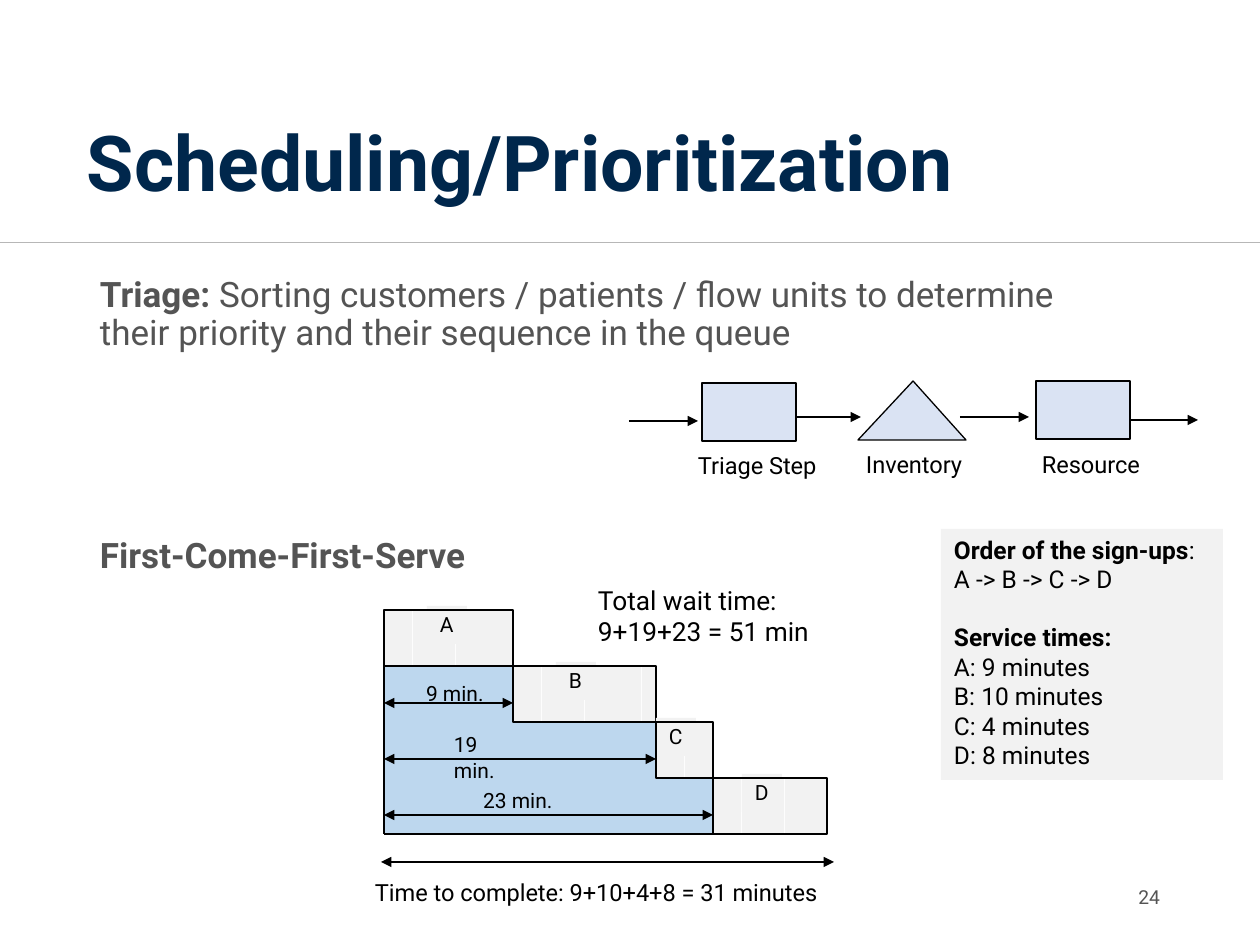
"""Build the slide on triage and first-come-first-serve scheduling."""
from lxml import etree
from pptx import Presentation
from pptx.dml.color import RGBColor
from pptx.enum.shapes import MSO_CONNECTOR, MSO_SHAPE
from pptx.enum.text import MSO_ANCHOR, PP_ALIGN
from pptx.oxml.ns import qn
from pptx.util import Pt

RECT = MSO_SHAPE.RECTANGLE
PEAK = MSO_SHAPE.ISOSCELES_TRIANGLE
LINE = MSO_CONNECTOR.STRAIGHT
TOP, MID, LOW = MSO_ANCHOR.TOP, MSO_ANCHOR.MIDDLE, MSO_ANCHOR.BOTTOM
LEFT, RIGHT = PP_ALIGN.LEFT, PP_ALIGN.RIGHT
PX = 914400 / 126
HUES = {"navy": "00274C", "gray": "545454", "black": "000000", "rule": "B7B7B7",
        "pale": "DAE3F3", "light": "F2F2F2", "blue": "BDD7EE"}

deck = Presentation()
deck.slide_width, deck.slide_height = round(1260 * PX), round(945 * PX)
slide = deck.slides.add_slide(deck.slide_layouts[6])


def put(text, x, y, w, h, home=slide, kind=None, fill=None, edge=False, size=13.5,
        hue="black", align=LEFT, anchor=TOP, wrap=True, pad=(13, 6, 13, 6),
        lead=None, gaps=()):
    """Place a text box or shape; *stars* mark bold words."""
    spot = [round(n * PX) for n in (x, y, w, h)]
    if kind is None:
        box = home.shapes.add_textbox(*spot)
    else:
        box = home.shapes.add_shape(kind, *spot)
        box.shadow.inherit = False
        if fill:
            box.fill.solid()
            box.fill.fore_color.rgb = RGBColor.from_string(HUES[fill])
        else:
            box.fill.background()
        if edge:
            box.line.color.rgb = RGBColor.from_string(HUES["black"])
            box.line.width = Pt(0.75)
        else:
            box.line.fill.background()
    if not text:
        return box
    frame = box.text_frame
    frame.word_wrap, frame.vertical_anchor = wrap, anchor
    (frame.margin_left, frame.margin_top, frame.margin_right,
     frame.margin_bottom) = [round(n * PX) for n in pad]
    for i, words in enumerate(text):
        para = frame.add_paragraph() if i else frame.paragraphs[0]
        para.alignment = align
        if lead:
            para.line_spacing = lead
        if i in gaps:
            para.space_before = Pt(gaps[i])
        for j, part in enumerate(words.split("*")):
            for k, piece in enumerate(part.split("\n")):
                if k:
                    para.add_line_break()
                if piece:
                    run = para.add_run()
                    run.text = piece
                    font = run.font
                    font.name, font.size, font.bold = "Roboto", Pt(size), j % 2 == 1
                    font.color.rgb = RGBColor.from_string(HUES[hue])
    return box


def draw(x, y, far, low, hue="black", width=0.75, ends=()):
    """Draw a straight line with arrowheads at the named ends."""
    line = slide.shapes.add_connector(LINE, *[round(n * PX) for n in (x, y, far, low)])
    line.line.color.rgb = RGBColor.from_string(HUES[hue])
    line.line.width = Pt(width)
    pen = line.line._get_or_add_ln()
    for end in ends:
        etree.SubElement(pen, qn(f"a:{end}"), type="triangle")
    etree.SubElement(line._element.spPr, qn("a:effectLst"))


draw(0, 242, 1260, 242, "rule", 0.5)
put(["*Scheduling/Prioritization*"], 87, 50, 1086, 183, size=44, hue="navy",
    anchor=LOW, pad=(0, 6, 13, 25), lead=0.9)
put(["*Triage:* Sorting customers / patients / flow units to determine \n"
     "their priority and their sequence in the queue", "*First-Come-First-Serve*"],
    87, 252, 1086, 338, size=20, hue="gray", pad=(13, 25, 13, 6), lead=0.9,
    gaps={1: 106})
put(["24"], 1067, 872, 106, 50, size=11, hue="gray", align=RIGHT, anchor=MID)

for x, y in (629, 421), (792, 417), (960, 417), (1129, 420):
    draw(x, y, x + 69, y, ends=["tailEnd"])
put(None, 702, 383, 94, 58, kind=RECT, fill="pale", edge=True)
peak = put(None, 858, 381, 108, 59, kind=PEAK, fill="pale", edge=True)
peak.adjustments[0] = 0.51
put(None, 1036, 381, 94, 58, kind=RECT, fill="pale", edge=True)
put(["Triage Step"], 685, 445, 152, 42)
put(["Inventory"], 853, 444, 125, 42, wrap=False)
put(["Resource"], 1029, 444, 126, 42, wrap=False)

put(["*Order of the sign-ups*:", "A -> B -> C -> D", "*Service times:*",
     "A: 9 minutes", "B: 10 minutes", "C: 4 minutes", "D: 8 minutes"],
    941, 529, 282, 251, kind=RECT, fill="light", size=14, gaps={2: 16.4})
put(["Total wait time: 9+19+23 = 51 min"], 585, 578, 249, 77, size=15)

unit, left, step, base = 14.3, 384, 56, 834
start, y = left, 610
for name, mins, shift in ("A", 9, 3), ("B", 10, 3), ("C", 4, 0), ("D", 8, 2):
    wide = round(mins * unit)
    if y + step < base:
        put(None, start, y + step, wide, base - y - step, kind=RECT, fill="blue")
    group = slide.shapes.add_group_shape()
    for i in range(mins):
        put(None, start + round(i * unit), y, 14, step, home=group, kind=RECT,
            fill="light")
    put([name], start + round(shift * unit), y - 4, 40, 38, home=group, kind=RECT,
        fill="light", size=12, wrap=False)
    put(None, start, y, wide, step, kind=RECT, edge=True)
    start, y = start + wide, y + step

draw(left, 666, left, base)
draw(left, base, 713, base)
both = ["headEnd", "tailEnd"]
waits = (9, 675, 84, False, 13), (19, 726, 94, True, 35), (23, 782, 96, False, 13)
for i, (wait, top, wide, wrap, inset) in enumerate(waits):
    low = 703 + i * step
    put([f"{wait} min."], left + round((i + 1) * 2 * unit), top, wide, 38, size=12,
        wrap=wrap, pad=(13, 6, inset, 6))
    draw(left, low, left + round(wait * unit), low, ends=both)
draw(381, 862, 834, 862, ends=both)
put(["Time to complete: 9+10+4+8 = 31 minutes"], 362, 872, 484, 42)

deck.save("out.pptx")
